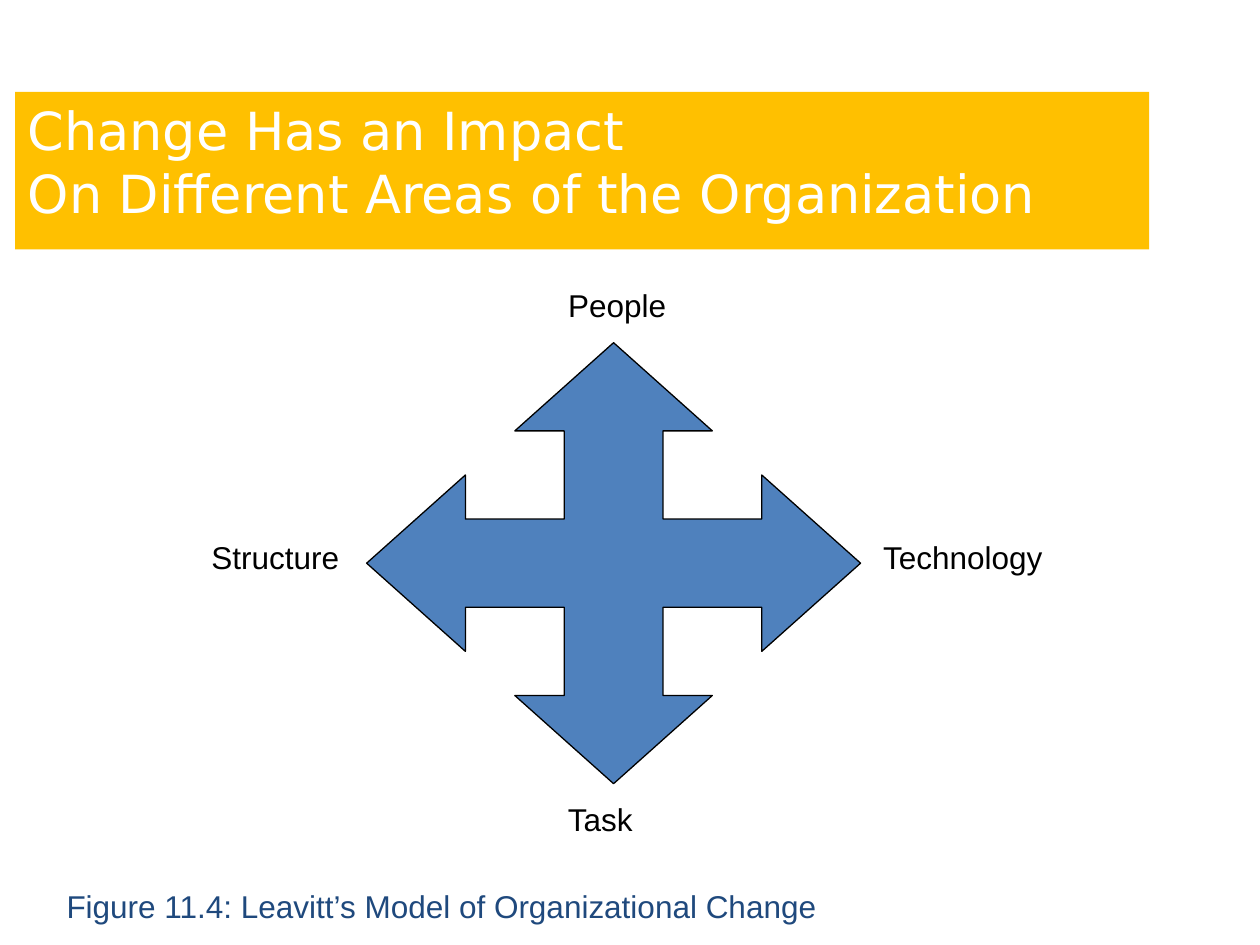
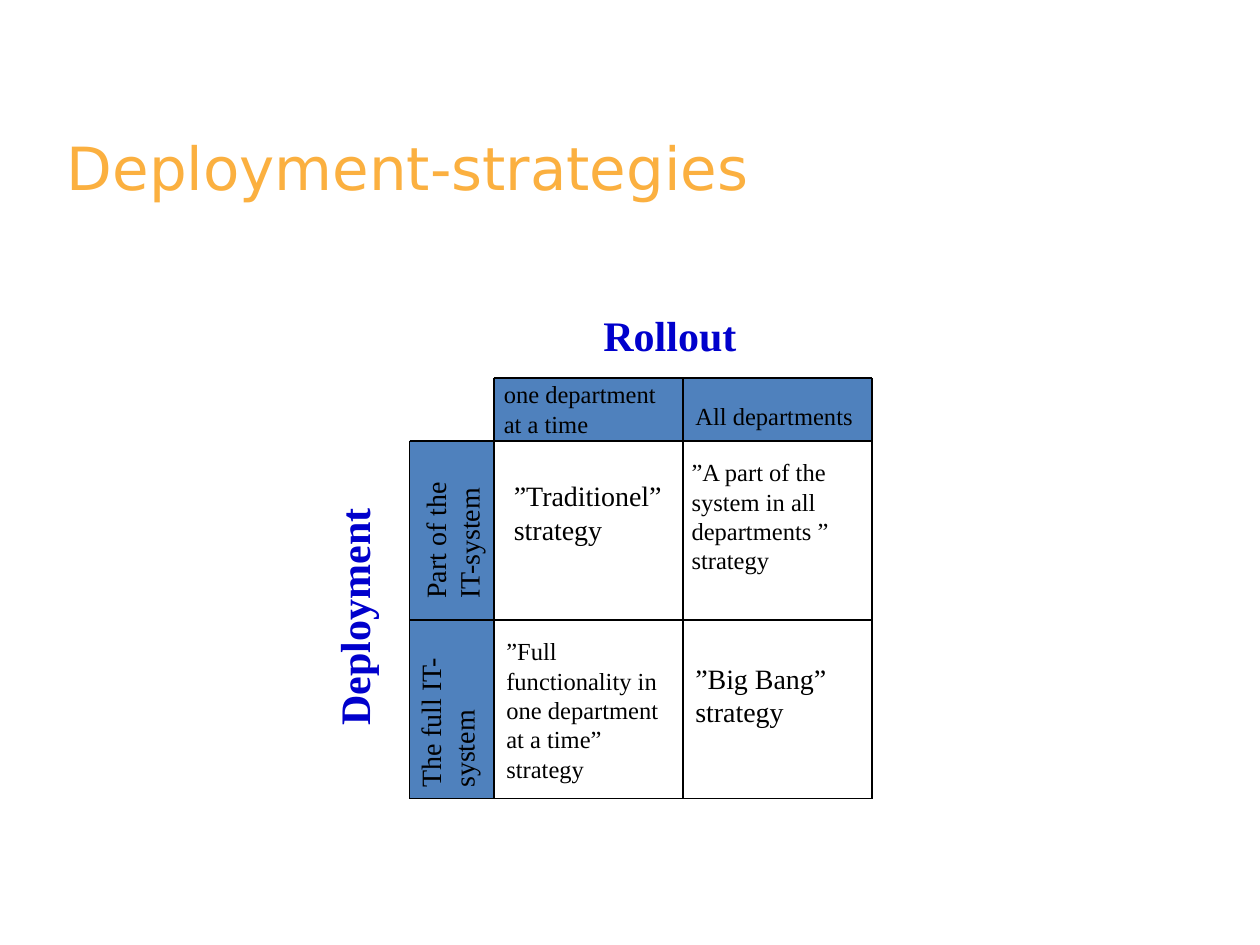
from pptx import Presentation
from pptx.dml.color import RGBColor
from pptx.enum.shapes import MSO_CONNECTOR, MSO_SHAPE
from pptx.enum.text import MSO_ANCHOR, MSO_AUTO_SIZE, PP_ALIGN
from pptx.util import Inches, Pt
from lxml.etree import SubElement
from pptx.oxml.ns import qn

# Shared colours and fonts
BLACK = RGBColor(0x00, 0x00, 0x00)
WHITE = RGBColor(0xFF, 0xFF, 0xFF)
STEEL_BLUE = RGBColor(0x4F, 0x81, 0xBD)
NAVY = RGBColor(0x1F, 0x49, 0x7D)
AXIS_BLUE = RGBColor(0x00, 0x00, 0xCC)
AMBER = RGBColor(0xFF, 0xC0, 0x00)
ORANGE = RGBColor(0xFB, 0xB0, 0x40)
TITLE_FONT = "DejaVu Sans"
LABEL_FONT = "Arial"
MATRIX_FONT = "Times New Roman"
LINE_WIDTH = Pt(0.75)
TITLE_ONLY = 5


def add_run(para, text, font_name, size, color, bold=False):
    run = para.add_run()
    run.text = text
    run.font.name = font_name
    run.font.size = Pt(size)
    run.font.color.rgb = color
    run.font.bold = bold


def add_page(deck, lines, left, top, size, color, band=None):
    """Add a page with its title, on a coloured band if one is given."""
    page = deck.slides.add_slide(deck.slide_layouts[TITLE_ONLY])
    title = page.shapes.title
    title.left, title.top = Inches(left), Inches(top)
    title.width, title.height = Inches(9), Inches(1.25)
    if band is not None:
        title.fill.solid()
        title.fill.fore_color.rgb = band
    frame = title.text_frame
    frame.word_wrap = True
    frame.auto_size = MSO_AUTO_SIZE.NONE
    frame.vertical_anchor = MSO_ANCHOR.TOP
    para = frame.paragraphs[0]
    para.alignment = PP_ALIGN.LEFT
    for index, line in enumerate(lines):
        if index:
            para.add_line_break()
        add_run(para, line, TITLE_FONT, size, color)
    return page


def add_label(page, text, left, top, width, height, size, font_name,
              color=BLACK, bold=False, wrap=True, rotation=0):
    box = page.shapes.add_textbox(Inches(left), Inches(top),
                                  Inches(width), Inches(height))
    box.rotation = rotation
    frame = box.text_frame
    frame.word_wrap = wrap
    frame.auto_size = MSO_AUTO_SIZE.SHAPE_TO_FIT_TEXT
    para = frame.paragraphs[0]
    para.alignment = PP_ALIGN.LEFT
    add_run(para, text, font_name, size, color, bold)


def add_four_way_arrow(page, left, top, width, height):
    """Draw one arm on a ten-by-ten grid and turn it four times."""
    arm = [(0, -5), (-2, -3), (-1, -3), (-1, -1), (-3, -1), (-3, -2)]
    points = []
    for _ in range(4):
        points += [(Inches(left + (5 + x) * width / 10),
                    Inches(top + (5 + y) * height / 10)) for x, y in arm]
        arm = [(y, -x) for x, y in arm]
    builder = page.shapes.build_freeform(*points[0])
    builder.add_line_segments(points[1:], close=True)
    arrow = builder.convert_to_shape()
    arrow.shadow.inherit = False
    arrow.fill.solid()
    arrow.fill.fore_color.rgb = STEEL_BLUE
    arrow.line.color.rgb = BLACK
    arrow.line.width = LINE_WIDTH


def add_change_model(page, left, top):
    """Four-way arrow with a label at each tip."""
    add_four_way_arrow(page, left + 1.33, top + 0.5, 3.92, 3.5)
    for text, x, y, width in [("People", 2.83, 0, 0.98),
                              ("Technology", 5.33, 2, 1.49),
                              ("Task", 2.83, 4.08, 0.74),
                              ("Structure", 0, 2, 1.25)]:
        add_label(page, text, left + x, top + y, width, 0.4, 18,
                  LABEL_FONT, wrap=False)


def add_header_block(page, left, top, width, height):
    block = page.shapes.add_shape(MSO_SHAPE.RECTANGLE, Inches(left),
                                  Inches(top), Inches(width), Inches(height))
    block.shadow.inherit = False
    block.fill.solid()
    block.fill.fore_color.rgb = STEEL_BLUE
    block.line.fill.background()
    return block


def add_rule(page, x1, y1, x2, y2):
    rule = page.shapes.add_connector(MSO_CONNECTOR.STRAIGHT, Inches(x1),
                                     Inches(y1), Inches(x2), Inches(y2))
    rule.line.color.rgb = BLACK
    rule.line.width = LINE_WIDTH
    SubElement(rule._element.spPr, qn("a:effectLst"))
    return rule


def add_strategy_matrix(page, left, top):
    """Two-by-two matrix with header blocks, rules and axis names."""
    columns = [left + x for x in (0, 0.67, 2.17, 3.67)]
    rows = [top + y for y in (0, 0.5, 1.92, 3.34)]
    header = add_header_block(page, columns[1], rows[0], 3, 0.5)
    side = add_header_block(page, columns[0], rows[1], 0.67, 2.84)

    # The outer header edges stop short of the empty corner
    for index, y in enumerate(rows):
        start = columns[0] if index else columns[1]
        rule = add_rule(page, start, y, columns[-1], y)
        if index == 2:
            rule.begin_connect(side, 1)
    for index, x in enumerate(columns):
        start = rows[0] if index else rows[1]
        rule = add_rule(page, x, start, x, rows[-1])
        if index == 2:
            rule.begin_connect(header, 0)

    # Header and cell texts: text, offset, size of box, font size, rotation
    for text, x, y, width, height, size, rotation in [
        ("one department at a time", 0.65, -0.04, 1.42, 0.57, 14, 0),
        ("All departments", 2.17, 0.13, 1.55, 0.34, 14, 0),
        ("Part of the IT-system", -0.33, 0.86, 1.34, 0.64, 16, 270),
        ("The full IT-system", -0.33, 2.4, 1.26, 0.64, 16, 270),
        ("”Traditionel” strategy", 0.73, 0.75, 1.42, 0.64, 16, 0),
        ("”A part of the system in all departments ” strategy",
         2.14, 0.58, 1.61, 1.04, 14, 0),
        ("”Full functionality in one department at a time” strategy",
         0.67, 2, 1.48, 1.27, 14, 0),
        ("”Big Bang” strategy", 2.17, 2.2, 1.33, 0.64, 16, 0),
    ]:
        add_label(page, text, left + x, top + y, width, height, size,
                  MATRIX_FONT, rotation=rotation)

    # Axis names
    for text, x, y, width, rotation in [
        ("Rollout", 1.44, -0.59, 1.49, 0),
        ("Deployment", -1.46, 1.59, 2.03, 270),
    ]:
        add_label(page, text, left + x, top + y, width, 0.5, 24, MATRIX_FONT,
                  AXIS_BLUE, bold=True, rotation=rotation)


def main():
    deck = Presentation()
    deck.slide_width, deck.slide_height = Inches(10), Inches(7.5)

    # Areas of change
    page = add_page(deck, ["Change Has an Impact",
                           "On Different Areas of the Organization"],
                    0.12, 0.73, 30, WHITE, AMBER)
    add_change_model(page, 1.58, 2.22)
    add_label(page, "Figure 11.4: Leavitt’s Model of Organizational Change",
              0.43, 6.99, 6.17, 0.4, 18, LABEL_FONT, NAVY, wrap=False)

    # Deployment strategies
    page = add_page(deck, ["Deployment-strategies"], 0.43, 0.99, 34, ORANGE)
    add_strategy_matrix(page, 3.25, 3)

    deck.save("out.pptx")


if __name__ == "__main__":
    main()
